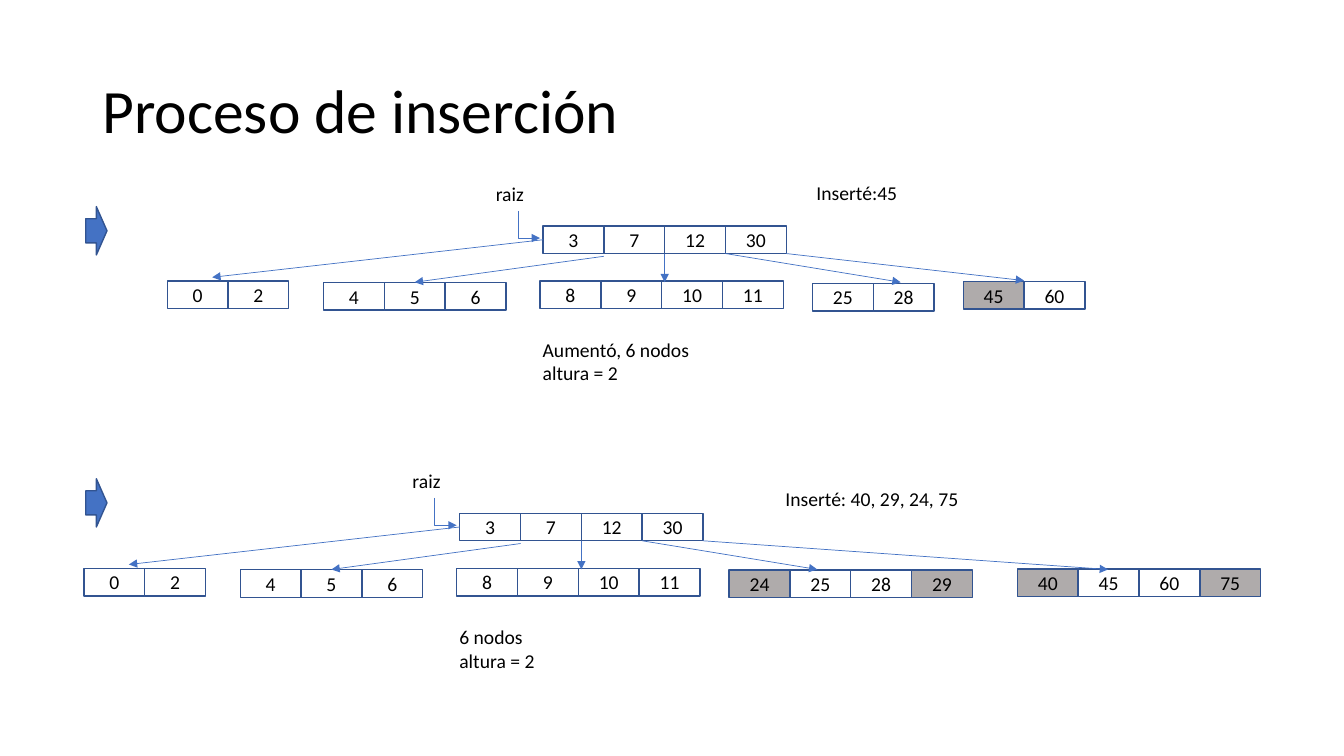
"""Build the slide that shows key insertion into a B-tree."""
from dataclasses import dataclass

from lxml import etree
from pptx import Presentation
from pptx import util as u
from pptx.dml.color import RGBColor
from pptx.enum import shapes, text
from pptx.oxml.ns import qn

COLORS = {"ink": "000000", "accent": "4472C4", "outline": "325491", "new": "AFABAB"}
FONT = "Calibri"
WIDTH, HEIGHT = u.Inches(13.33), u.Inches(7.5)
COLUMN, ROW = WIDTH / 22.1, HEIGHT / 27.4
ROOT_KEYS = (3, 7, 12, 30)


@dataclass(frozen=True)
class Leaf:
    """A child node: keys, place relative to the root, and arrow tip."""
    keys: tuple
    column: float
    row: float
    tip: float
    tip_row: float = 2.04
    start_row: float = 1


@dataclass(frozen=True)
class Label:
    """A caption with its place relative to the root and its width."""
    words: str
    column: float
    row: float
    width: float


@dataclass(frozen=True)
class Tree:
    """One stage of the insertion."""
    column: float
    row: float
    marker_row: float
    leaves: tuple
    labels: tuple
    inserted: tuple


ROOT_LABEL = Label("raiz", -0.94, -1.79, 0.8)
COMMON_LEAVES = (
    Leaf((0, 2), -6.18, 2, 0.74, 1.86, 0.5),
    Leaf((4, 5, 6), -3.61, 2.05, 1.5, start_row=1.1),
    Leaf((8, 9, 10, 11), -0.05, 2, 2.05),
)
TREES = (
    Tree(8.93, 8.19, 7.49,
         COMMON_LEAVES + (Leaf((25, 28), 4.43, 2.08, 1.45),
                          Leaf((45, 60), 6.91, 2.01, 1, 1.98)),
         (ROOT_LABEL, Label("Inserté:45", 4.33, -1.83, 1.67),
          Label("Aumentó, 6 nodos\naltura = 2", -0.17, 3.87, 2.77)),
         (45,)),
    Tree(7.56, 18.6, 17.35,
         COMMON_LEAVES + (Leaf((24, 25, 28, 29), 4.43, 2.06, 1.45),
                          Leaf((40, 45, 60, 75), 9.17, 2.02, 1.49)),
         (ROOT_LABEL, Label("Inserté: 40, 29, 24, 75", 5.19, -1.13, 3.22),
          Label("6 nodos\naltura = 2", -0.17, 3.87, 1.59)),
         (40, 29, 24, 75)),
)


def color(name: str) -> RGBColor:
    """Return a named colour."""
    return RGBColor.from_string(COLORS[name])


def place(column: float, row: float) -> tuple:
    """Turn grid columns and rows into slide lengths."""
    return u.Emu(round(column * COLUMN)), u.Emu(round(row * ROW))


def write(frame, words: str, *, size: float = 14, align=text.PP_ALIGN.LEFT,
          anchor=text.MSO_ANCHOR.TOP, wrap: bool = False, spacing: float = 1) -> None:
    """Fill a text frame, one paragraph per line of words."""
    frame.text = words
    frame.word_wrap, frame.vertical_anchor = wrap, anchor
    for para in frame.paragraphs:
        para.alignment, para.line_spacing = align, spacing
        for span in para.runs:
            span.font.name, span.font.size = FONT, u.Pt(size)
            span.font.color.rgb = color("ink")


def draw_shape(parent, kind, column: float, row: float, width: float, height: float,
               fill: str = ""):
    """Draw an outlined preset shape on the grid."""
    shape = parent.add_shape(kind, *place(column, row), *place(width, height))
    shape.shadow.inherit = False
    if fill:
        shape.fill.solid()
        shape.fill.fore_color.rgb = color(fill)
    else:
        shape.fill.background()
    shape.line.color.rgb, shape.line.width = color("outline"), u.Pt(1)
    return shape


def draw_node(parent, keys: tuple, column: float, row: float, inserted: tuple) -> None:
    """Draw a row of key cells, shading the inserted keys."""
    for index, key in enumerate(keys):
        cell = draw_shape(parent, shapes.MSO_SHAPE.RECTANGLE, column + index, row, 1, 1,
                          "new" if key in inserted else "")
        frame = cell.text_frame
        frame.margin_top = frame.margin_bottom = 0
        write(frame, str(key), align=text.PP_ALIGN.CENTER,
              anchor=text.MSO_ANCHOR.MIDDLE, wrap=True)


def draw_arrow(parent, start: tuple, end: tuple, kind=shapes.MSO_CONNECTOR.STRAIGHT):
    """Draw a thin connector with an arrowhead at its end."""
    arrow = parent.add_connector(kind, *start, *end)
    arrow.line.color.rgb, arrow.line.width = color("accent"), u.Pt(0.5)
    properties = arrow._element.spPr
    etree.SubElement(properties.find(qn("a:ln")), qn("a:tailEnd"), type="triangle")
    etree.SubElement(properties, qn("a:effectLst"))
    return arrow


def draw_corner_arrow(parent, start: tuple, end: tuple) -> None:
    """Draw an arrow that goes down and then right, as a turned elbow."""
    middle_x, middle_y = (start[0] + end[0]) // 2, (start[1] + end[1]) // 2
    half_x, half_y = (end[0] - start[0]) // 2, (end[1] - start[1]) // 2
    arrow = draw_arrow(parent, (middle_x + half_y, middle_y - half_x),
                       (middle_x - half_y, middle_y + half_x), shapes.MSO_CONNECTOR.ELBOW)
    properties = arrow._element.spPr
    properties.find(qn("a:xfrm")).set("rot", str(270 * 60000))
    properties.find(qn("a:prstGeom")).set("prst", "bentConnector2")


def draw_tree(page, tree: Tree) -> None:
    """Draw one stage as a group, with its marker beside it."""
    parent = page.shapes.add_group_shape().shapes
    column, row = tree.column, tree.row
    draw_node(parent, ROOT_KEYS, column, row, tree.inserted)
    for index, leaf in enumerate(tree.leaves):
        left = column + leaf.column
        draw_node(parent, leaf.keys, left, row + leaf.row, tree.inserted)
        draw_arrow(parent, place(column + index, row + leaf.start_row),
                   place(left + leaf.tip, row + leaf.tip_row))
    draw_corner_arrow(parent, place(column - 0.41, row - 0.55),
                      place(column - 0.05, row + 0.44))
    for label in tree.labels:
        lines = label.words.count("\n") + 1
        box = parent.add_textbox(*place(column + label.column, row + label.row),
                                 *place(label.width, 0.4 + 0.84 * lines))
        write(box.text_frame, label.words)
    draw_shape(page.shapes, shapes.MSO_SHAPE.RIGHT_ARROW, 1.41, tree.marker_row,
               0.35, 1.75, "accent")


def main() -> None:
    """Build and save the deck."""
    deck = Presentation()
    deck.slide_width, deck.slide_height = WIDTH, HEIGHT
    page = deck.slides.add_slide(deck.slide_layouts.get_by_name("Title Only"))
    title = page.shapes.title
    title.left, title.top = place(1.52, 1.46)
    title.width, title.height = place(19.06, 5.3)
    write(title.text_frame, "Proceso de inserción", size=44,
          anchor=text.MSO_ANCHOR.MIDDLE, wrap=True, spacing=0.9)
    for tree in TREES:
        draw_tree(page, tree)
    deck.save("out.pptx")


main()
